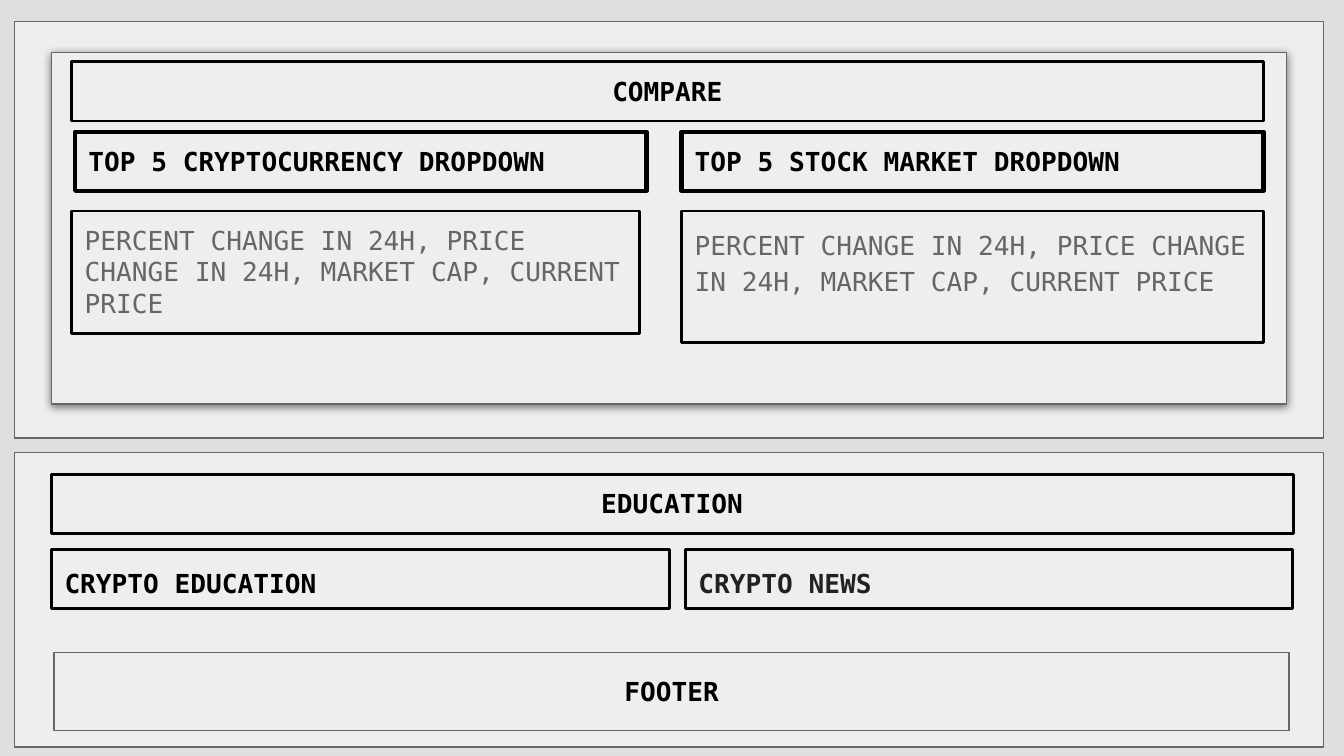
"""Build a wireframe slide with compare, education and footer sections."""
from dataclasses import dataclass

from lxml.etree import SubElement
from pptx import Presentation
from pptx.dml.color import RGBColor as RGB
from pptx.enum.shapes import MSO_SHAPE as Shape
from pptx.enum.text import MSO_ANCHOR as Anchor, MSO_AUTO_SIZE as AutoSize, PP_ALIGN as Align
from pptx.oxml.ns import qn
from pptx.util import Cm, Pt


@dataclass(frozen=True)
class Theme:
    background: RGB = RGB(0xE1, 0xDF, 0xDD)
    panel: RGB = RGB(0xEE, 0xEE, 0xEE)
    gray: RGB = RGB(0x66, 0x66, 0x66)
    ink: RGB = RGB(0, 0, 0)
    soft_ink: RGB = RGB(0x21, 0x21, 0x21)
    font: str = "DejaVu Sans Mono"
    size: float = 14
    thin: float = 0.75
    medium: float = 1.5
    thick: float = 2.25


@dataclass(frozen=True)
class Panel:
    left: float
    top: float
    width: float
    height: float
    shadow: bool = False


THEME = Theme()
ROW = 1.12


@dataclass(frozen=True)
class Box:
    text: str
    left: float
    top: float
    width: float
    height: float = ROW
    line: float = THEME.medium
    color: RGB = THEME.ink
    bold: bool = True
    centered: bool = False
    spaced: bool = False


def add_rect(s, item: Panel | Box):
    """Add an unshadowed rectangle at the item's place."""
    sp = s.shapes.add_shape(Shape.RECTANGLE, Cm(item.left), Cm(item.top),
                            Cm(item.width), Cm(item.height))
    sp.shadow.inherit = False
    return sp


def add_shadow(sp) -> None:
    """Give the shape a soft shadow straight below it."""
    effects = sp._element.spPr.find(qn("a:effectLst"))
    shadow = SubElement(effects, qn("a:outerShdw"), blurRad=str(Pt(4.5)),
                        dist=str(Pt(1.5)), dir="5400000", algn="bl", rotWithShape="0")
    color = SubElement(shadow, qn("a:srgbClr"), val=str(THEME.ink))
    SubElement(color, qn("a:alpha"), val="53000")


def add_panel(s, panel: Panel) -> None:
    """Draw a filled panel with a thin outline."""
    sp = add_rect(s, panel)
    sp.fill.solid()
    sp.fill.fore_color.rgb = THEME.panel
    sp.line.color.rgb = THEME.gray
    sp.line.width = Pt(THEME.thin)
    if panel.shadow:
        add_shadow(sp)


def write(sp, box: Box) -> None:
    """Put the box's text in the shape and format it."""
    tf = sp.text_frame
    tf.text = box.text
    tf.word_wrap = True
    tf.auto_size = AutoSize.SHAPE_TO_FIT_TEXT
    tf.vertical_anchor = Anchor.TOP
    tf.margin_left = tf.margin_top = tf.margin_right = tf.margin_bottom = Cm(0.25)
    p = tf.paragraphs[0]
    p.alignment = Align.CENTER if box.centered else Align.LEFT
    if box.spaced:
        p.line_spacing = 1.15
        p.space_after = Pt(12)
    font = p.runs[0].font
    font.name = THEME.font
    font.size = Pt(THEME.size)
    font.bold = box.bold
    font.color.rgb = box.color


def add_box(s, box: Box) -> None:
    """Draw an outlined box with text."""
    sp = add_rect(s, box)
    sp.fill.background()
    sp.line.color.rgb = THEME.ink
    sp.line.width = Pt(box.line)
    write(sp, box)


def add_label(s, box: Box) -> None:
    """Draw text without an outline."""
    write(s.shapes.add_textbox(Cm(box.left), Cm(box.top), Cm(box.width), Cm(box.height)), box)


DETAILS = "PERCENT CHANGE IN 24H, PRICE CHANGE IN 24H, MARKET CAP, CURRENT PRICE"
PANELS = (
    Panel(0.28, 0.41, 24.74, 7.87),
    Panel(0.28, 8.56, 24.74, 5.56),
    Panel(0.97, 0.99, 23.34, 6.65, shadow=True),
    Panel(1.02, 12.34, 23.34, 1.47),
)
BOXES = (
    Box("COMPARE", 1.35, 1.17, 22.53, centered=True),
    Box("TOP 5 CRYPTOCURRENCY DROPDOWN", 1.42, 2.49, 10.8, line=THEME.thick),
    Box("TOP 5 STOCK MARKET DROPDOWN", 12.88, 2.49, 11, line=THEME.thick),
    Box(DETAILS, 1.35, 3.99, 10.74, 2.31, color=THEME.gray, bold=False),
    Box(DETAILS, 12.88, 3.99, 11, 2.49, color=THEME.gray, bold=False, spaced=True),
    Box("EDUCATION", 0.97, 8.97, 23.47, centered=True),
    Box("CRYPTO EDUCATION", 0.97, 10.39, 11.68, spaced=True),
    Box("CRYPTO NEWS", 12.95, 10.39, 11.48, color=THEME.soft_ink, spaced=True),
)
FOOTER = Box("FOOTER", 9.19, 12.52, 7.01, centered=True)


def main() -> None:
    """Build and save the slide."""
    prs = Presentation()
    prs.slide_width, prs.slide_height = Cm(25.4), Cm(14.29)
    s = prs.slides.add_slide(prs.slide_layouts[6])
    s.background.fill.solid()
    s.background.fill.fore_color.rgb = THEME.background
    for panel in PANELS:
        add_panel(s, panel)
    for box in BOXES:
        add_box(s, box)
    add_label(s, FOOTER)
    prs.save("out.pptx")


main()
